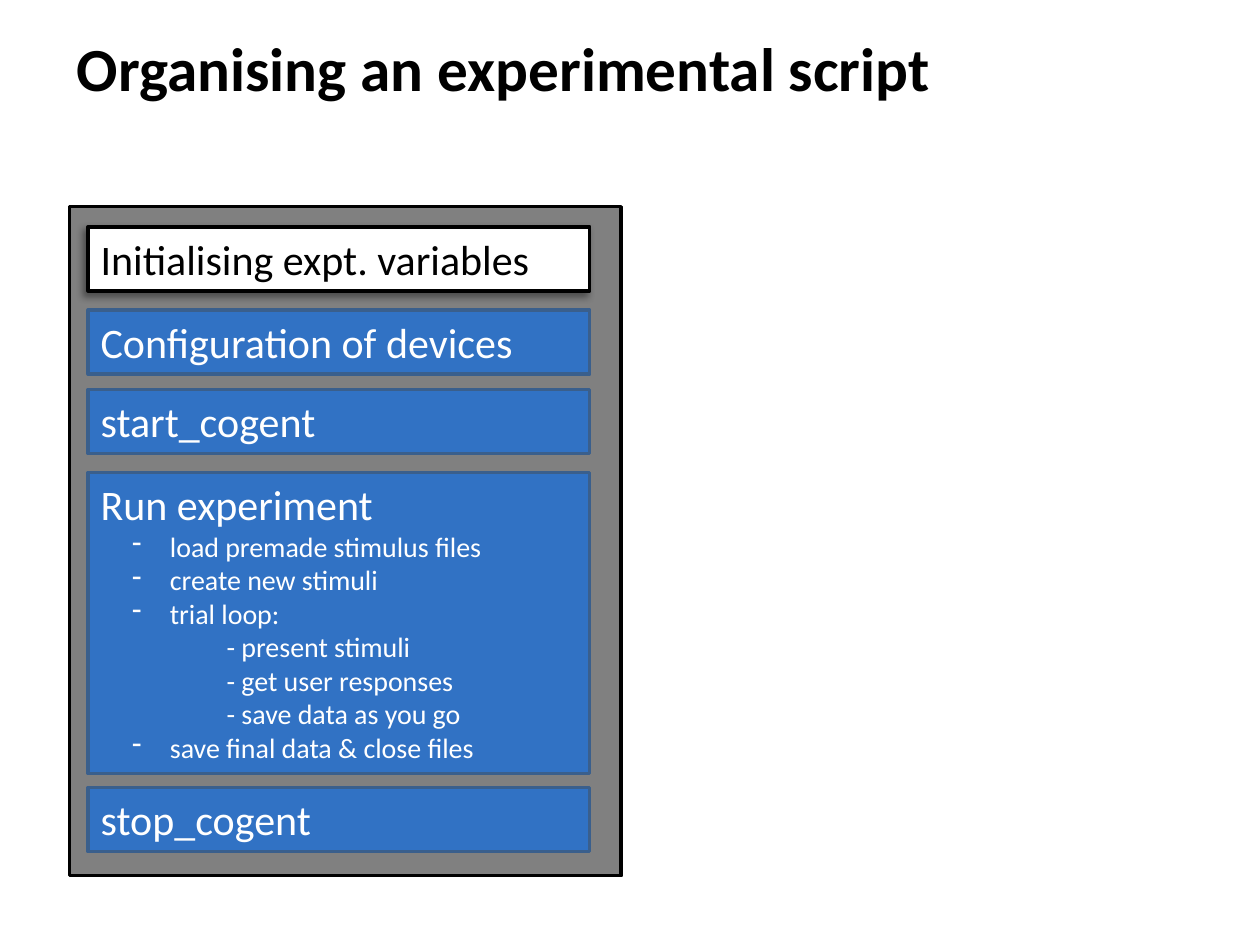
from lxml import etree
from pptx import Presentation
from pptx import util as u
from pptx.dml.color import RGBColor
from pptx.enum import shapes, text
from pptx.oxml.ns import qn

FONT = "Calibri"
BLUE, DARK_BLUE, GREY = "3172C4", "3A5F8C", "808080"
WHITE, BLACK = "FFFFFF", "000000"
BOX_LEFT, BOX_WIDTH, BOX_HEIGHT = 50.4, 286.6, 36.7

# Top of each one-line step, in points
BLUE_STEPS = [
    ("Configuration of devices", 177.1),
    ("start_cogent", 222.5),
    ("stop_cogent", 450),
]
# Outline level and wording of the lines under "Run experiment"
RUN_LINES = [
    (1, "load premade stimulus files"),
    (1, "create new stimuli"),
    (1, "trial loop:"),
    (2, "- present stimuli"),
    (2, "- get user responses"),
    (2, "- save data as you go"),
    (1, "save final data & close files"),
]


def color(value):
    return RGBColor.from_string(value)


def add_run(paragraph, words, size, font_color, bold=False):
    run = paragraph.add_run()
    run.text = words
    run.font.name = FONT
    run.font.size = u.Pt(size)
    run.font.bold = bold
    run.font.color.rgb = color(font_color)


def add_rectangle(parent, left, top, width, height, fill, line):
    shape = parent.add_shape(shapes.MSO_SHAPE.RECTANGLE, u.Pt(left), u.Pt(top),
                             u.Pt(width), u.Pt(height))
    shape.shadow.inherit = False
    shape.fill.solid()
    shape.fill.fore_color.rgb = color(fill)
    shape.line.color.rgb = color(line)
    shape.line.width = u.Pt(2)
    return shape


def add_step(parent, heading, top, height=BOX_HEIGHT, fill=BLUE,
             line=DARK_BLUE, font_color=WHITE):
    shape = add_rectangle(parent, BOX_LEFT, top, BOX_WIDTH, height, fill, line)
    frame = shape.text_frame
    frame.word_wrap = True
    frame.auto_size = text.MSO_AUTO_SIZE.SHAPE_TO_FIT_TEXT
    frame.vertical_anchor = text.MSO_ANCHOR.TOP
    paragraph = frame.paragraphs[0]
    paragraph.alignment = text.PP_ALIGN.LEFT
    add_run(paragraph, heading, 24, font_color)
    return shape


def add_detail(frame, level, words):
    paragraph = frame.add_paragraph()
    paragraph.alignment = text.PP_ALIGN.LEFT
    paragraph.level = level
    properties = paragraph._p.get_or_add_pPr()
    if level == 1:
        # Hanging dash
        properties.set("marL", str(u.Pt(39.6)))
        properties.set("indent", str(-u.Pt(21.6)))
        etree.SubElement(properties, qn("a:buFontTx"))
        etree.SubElement(properties, qn("a:buChar"), char="-")
    else:
        properties.set("marL", str(u.Pt(72)))
        properties.set("indent", "0")
    add_run(paragraph, words, 16, WHITE)


def add_shadow(shape):
    effects = shape._element.spPr.find(qn("a:effectLst"))
    shadow = etree.SubElement(effects, qn("a:outerShdw"), blurRad=str(u.Pt(4)),
                              dist=str(u.Pt(3)), dir=str(135 * 60000),
                              algn="tr", rotWithShape="0")
    shade = etree.SubElement(shadow, qn("a:srgbClr"), val=BLACK)
    etree.SubElement(shade, qn("a:alpha"), val="40000")


def set_title(slide, words):
    title = slide.shapes.title
    title.left, title.top = u.Pt(36.7), u.Pt(4.3)
    title.width, title.height = u.Pt(533.5), u.Pt(67.7)
    frame = title.text_frame
    frame.word_wrap = True
    frame.auto_size = text.MSO_AUTO_SIZE.NONE
    frame.vertical_anchor = text.MSO_ANCHOR.MIDDLE
    paragraph = frame.paragraphs[0]
    paragraph.alignment = text.PP_ALIGN.LEFT
    add_run(paragraph, words, 35, BLACK, bold=True)


def main():
    presentation = Presentation()
    presentation.slide_width, presentation.slide_height = u.Pt(720), u.Pt(540)
    slide = presentation.slides.add_slide(presentation.slide_layouts[5])
    set_title(slide, "Organising an experimental script")

    # Script panel with its blue steps
    script = slide.shapes.add_group_shape().shapes
    add_rectangle(script, 39.6, 118.1, 315.4, 382.3, GREY, BLACK)
    for heading, top in BLUE_STEPS:
        add_step(script, heading, top)
    run_step = add_step(script, "Run experiment", 270, height=172.1)
    for level, words in RUN_LINES:
        add_detail(run_step.text_frame, level, words)

    # Highlighted current step
    current = add_step(slide.shapes, "Initialising expt. variables", 129.6,
                       fill=WHITE, line=BLACK, font_color=BLACK)
    add_shadow(current)

    presentation.save("out.pptx")


if __name__ == "__main__":
    main()
